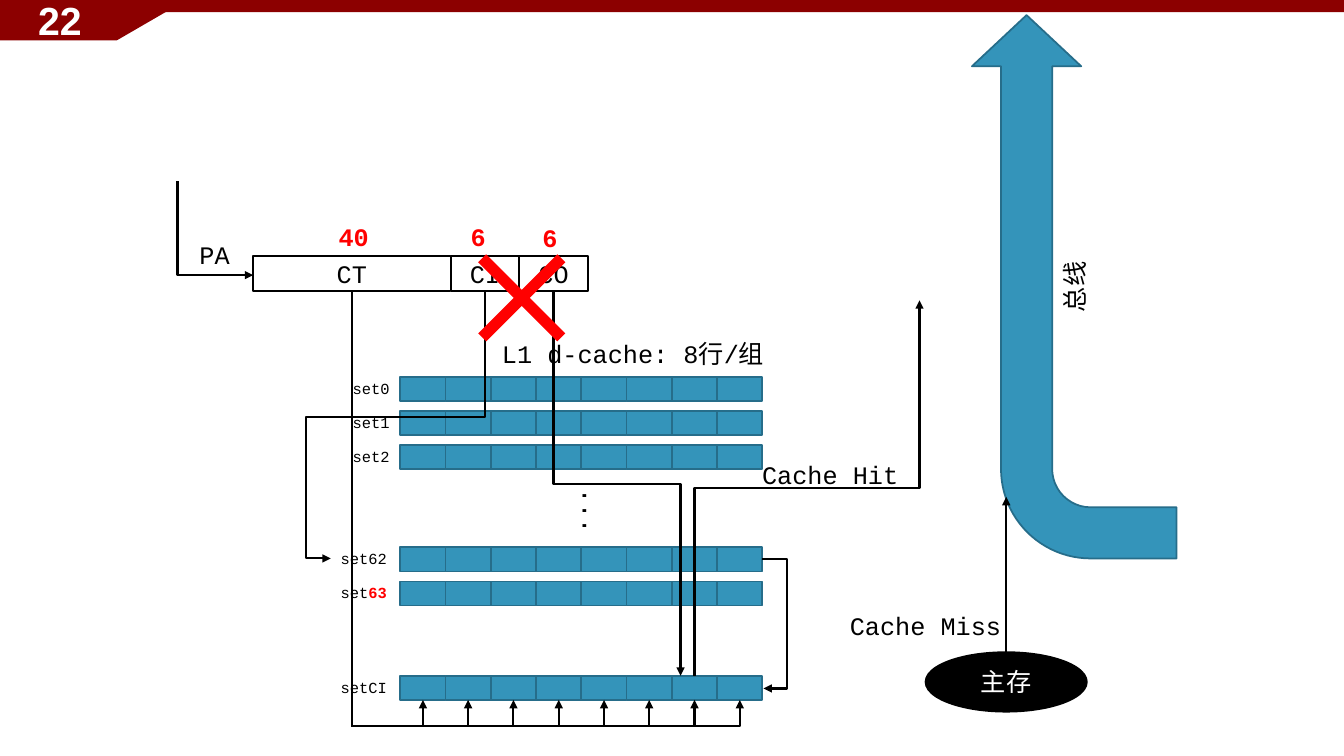
import pptx
import pptx.util
import pptx.dml.color
import pptx.enum.shapes
import pptx.enum.text
import pptx.oxml.ns
from lxml import etree

SHAPE = pptx.enum.shapes.MSO_SHAPE
CONNECTOR = pptx.enum.shapes.MSO_CONNECTOR
ALIGN = pptx.enum.text.PP_ALIGN
ANCHOR = pptx.enum.text.MSO_ANCHOR
qn = pptx.oxml.ns.qn

THEME = {
    "banner": "8C0000", "cell": "3494BA", "cell_line": "266D8A",
    "ink": "000000", "paper": "FFFFFF", "accent": "FF0000",
    "code": "Courier New", "number": "Arial",
    "body": 18, "small": 11, "page": 28, "outline": 1.25, "arrow": 1.5,
}
SLIDE_W, SLIDE_H = 13.33, 7.5

# Page tab corners, in hundredths of an inch
TAB = [(0, 40), (116, 40), (185, 0)]

# Address fields: name, left, width
ADDRESS_TOP, ADDRESS_H = 2.54, 0.35
ADDRESS = [("CT", 2.51, 1.96), ("CI", 4.47, 0.68), ("CO", 5.15, 0.68)]

# Cache sets: label runs, row on the grid
CACHE_LEFT, CACHE_TOP, CELL_W, CELL_H, ROW_PITCH = 3.97, 3.74, 0.449, 0.24, 0.338
LINES_PER_SET = 8
SELECTED_ROW = 8.77
SETS = [
    ([("set0", False)], 0),
    ([("set1", False)], 1),
    ([("set2", False)], 2),
    ([("set62", False)], 5),
    ([("set", False), ("63", True)], 6),
    ([("setCI", False)], SELECTED_ROW),
]

# Labels: text, left, top, width, emphasised
LABELS = [
    ("PA", 1.88, 2.33, 0.63, False),
    ("L1 d-cache: 8行/组", 4.88, 3.31, 3.23, False),
    ("Cache Hit", 7.46, 4.51, 1.6, False),
    ("Cache Miss", 8.33, 6.01, 2.05, False),
    ("40", 3.26, 2.15, 0.55, True),
    ("6", 4.57, 2.15, 0.55, True),
    ("6", 5.28, 2.16, 0.55, True),
]

deck = pptx.Presentation()
deck.slide_width = pptx.util.Inches(SLIDE_W)
deck.slide_height = pptx.util.Inches(SLIDE_H)
page = deck.slides.add_slide(deck.slide_layouts[6])


def inches(*lengths):
    return [pptx.util.Inches(length) for length in lengths]


def colour(name):
    return pptx.dml.color.RGBColor.from_string(THEME[name])


def write(shape, runs, size="body", align=ALIGN.LEFT, font="code"):
    """Fill a shape with one paragraph of (text, colour name, bold) runs."""
    para = shape.text_frame.paragraphs[0]
    para.alignment = align
    for text, ink, bold in runs:
        span = para.add_run()
        span.text = text
        look = {"name": THEME[font], "size": pptx.util.Pt(THEME[size]), "bold": bold}
        for key, value in look.items():
            setattr(span.font, key, value)
        span.font.color.rgb = colour(ink)


def paint(shape, fill, line=None):
    shape.shadow.inherit = False
    shape.fill.solid()
    shape.fill.fore_color.rgb = colour(fill)
    if line:
        shape.line.color.rgb = colour(line)
        shape.line.width = pptx.util.Pt(THEME["outline"])
    else:
        shape.line.fill.background()


def add_shape(kind, place, fill, line=None, text="", ink="ink"):
    shape = page.shapes.add_shape(kind, *inches(*place))
    paint(shape, fill, line)
    if text:
        shape.text_frame.vertical_anchor = ANCHOR.MIDDLE
        write(shape, [(text, ink, False)], align=ALIGN.CENTER)
    return shape


def add_label(runs, place, anchor=ANCHOR.TOP, **style):
    box = page.shapes.add_textbox(*inches(*place))
    layout = {"word_wrap": True, "margin_right": 0, "vertical_anchor": anchor}
    for key, value in layout.items():
        setattr(box.text_frame, key, value)
    write(box, runs, **style)
    return box


def finish_arrow(arrow):
    arrow.line.color.rgb = colour("ink")
    arrow.line.width = pptx.util.Pt(THEME["arrow"])
    outline = arrow.line._get_or_add_ln()
    etree.SubElement(outline, qn("a:tailEnd")).set("type", "triangle")
    etree.SubElement(arrow._element.spPr, qn("a:effectLst"))


def add_route(*points):
    """Draw one elbow connector whose right-angled bends pass through the points."""
    (x0, y0), (x1, y1) = points[0], points[-1]
    dx, dy = x1 - x0, y1 - y0
    upright = points[0][0] == points[1][0]
    rotation, flip_h, flip_v = 0, dx < 0, dy < 0
    width, height = abs(dx), abs(dy)
    if upright:
        rotation = 270 if dx > 0 and dy > 0 else 90
        flip_h, flip_v = dy < 0 or rotation == 270, dy < 0
        width, height = height, width
    left, top = (x0 + x1 - width) / 2, (y0 + y1 - height) / 2
    xs, ys = [left, left + width], [top, top + height]
    if flip_h:
        xs.reverse()
    if flip_v:
        ys.reverse()
    arrow = page.shapes.add_connector(CONNECTOR.ELBOW, *inches(xs[0], ys[0], xs[1], ys[1]))
    properties = arrow._element.spPr
    properties.find(qn("a:xfrm")).set("rot", str(rotation * 60000))
    geometry = properties.find(qn("a:prstGeom"))
    geometry.set("prst", f"bentConnector{len(points) - 1}")
    guides = geometry.find(qn("a:avLst"))
    if guides is None:
        guides = etree.SubElement(geometry, qn("a:avLst"))
    for step, bend in enumerate(points[1:-2], 1):
        axis = (step + upright + 1) % 2
        share = (bend[axis] - points[0][axis]) / (points[-1][axis] - points[0][axis])
        guide = etree.SubElement(guides, qn("a:gd"))
        guide.set("name", f"adj{step}")
        guide.set("fmla", f"val {round(share * 100000)}")
    finish_arrow(arrow)


# Banner and page number
tab = page.shapes.build_freeform(0, 0, scale=pptx.util.Inches(0.01))
tab.add_line_segments(TAB)
paint(tab.convert_to_shape(), "banner")
add_shape(SHAPE.RECTANGLE, (0, 0, SLIDE_W, 0.12), "banner")
add_label([("22", "paper", True)], (0, 0, 0.81, 0.4), ANCHOR.MIDDLE,
          size="page", align=ALIGN.RIGHT, font="number")

# Physical address
middle = {}
for name, left, width in ADDRESS:
    add_shape(SHAPE.RECTANGLE, (left, ADDRESS_TOP, width, ADDRESS_H), "paper", "ink", name)
    middle[name] = round(left + width / 2, 2)
address_bottom = ADDRESS_TOP + ADDRESS_H

# Cache sets
for runs, row in SETS:
    top = CACHE_TOP + row * ROW_PITCH
    for column in range(LINES_PER_SET):
        add_shape(SHAPE.RECTANGLE, (CACHE_LEFT + column * CELL_W, top, CELL_W, CELL_H),
                  "cell", "cell_line")
    label_w = 0.57 if len(runs[0][0]) == 4 else 0.69
    add_label([(text, "accent" if marked else "ink", marked) for text, marked in runs],
              (CACHE_LEFT - label_w, top - 0.03, label_w, 0.29), size="small")
dots = add_label([("...", "ink", False)], (5.53, 4.75, 0.5, 0.68))
dots.text_frame._txBody.bodyPr.set("vert", "eaVert")

# Main memory and bus
memory = add_shape(SHAPE.OVAL, (9.18, 6.47, 1.6, 0.59), "ink", "ink", "主存", "paper")
bus = add_shape(SHAPE.BENT_ARROW, (7.96, 1.83, 5.39, 2.03), "cell", "cell_line", "总线")
bus.rotation = 270
for index, share in enumerate((0.25, 0.267, 0.25, 0.438)):
    bus.adjustments[index] = share

# Routes between the parts
cache_right = CACHE_LEFT + LINES_PER_SET * CELL_W
selected_top = CACHE_TOP + SELECTED_ROW * ROW_PITCH
selected_bottom = selected_top + CELL_H
hit_x = CACHE_LEFT + 6.5 * CELL_W
add_route((1.76, 1.8), (1.76, 2.73), (2.51, 2.73))
add_route((middle["CI"], address_bottom), (middle["CI"], 4.14), (3.03, 4.14),
          (3.03, 5.54), (3.28, 5.54))
add_route((cache_right, 5.55), (7.81, 5.55), (7.81, 6.83), (cache_right + 0.01, 6.83))
for column in range(LINES_PER_SET):
    line_x = CACHE_LEFT + (column + 0.5) * CELL_W
    add_route((middle["CT"], address_bottom), (middle["CT"], 7.2), (line_x, 7.2),
              (line_x, selected_bottom))
add_route((hit_x, selected_top), (hit_x, 4.84), (9.12, 4.84), (9.12, 2.98))
add_route((middle["CO"], address_bottom), (middle["CO"], 4.8), (6.75, 4.8),
          (6.75, selected_top))
miss = page.shapes.add_connector(CONNECTOR.STRAIGHT, *inches(9.98, 6.47, 9.98, 4.93))
miss.begin_connect(memory, 0)
finish_arrow(miss)

for text, left, top, width, marked in LABELS:
    add_label([(text, "accent" if marked else "ink", marked)], (left, top, width, 0.4))

cross = add_shape(SHAPE.MATH_MULTIPLY, (4.42, 2.2, 1.51, 1.51), "accent")
cross.adjustments[0] = 0.075

deck.save("out.pptx")
